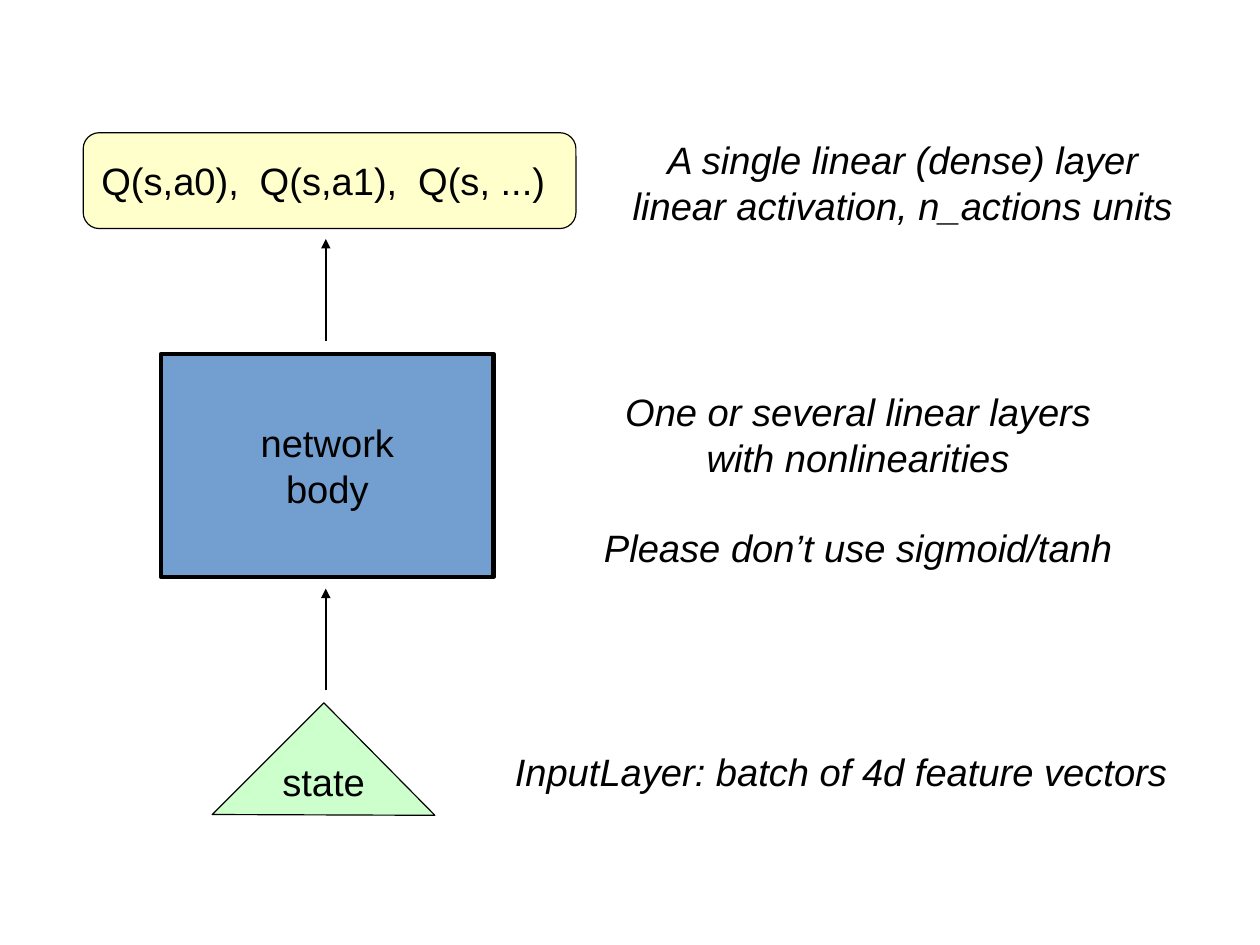
from lxml import etree
from pptx import Presentation
from pptx.dml.color import RGBColor
from pptx.enum.shapes import MSO_CONNECTOR, MSO_SHAPE
from pptx.enum.text import MSO_ANCHOR, PP_ALIGN
from pptx.oxml.ns import qn
from pptx.util import Cm, Pt

ROUNDED, RECTANGLE, TRIANGLE = (
    MSO_SHAPE.ROUNDED_RECTANGLE, MSO_SHAPE.RECTANGLE, MSO_SHAPE.ISOSCELES_TRIANGLE)
STRAIGHT = MSO_CONNECTOR.STRAIGHT
TOP, MIDDLE = MSO_ANCHOR.TOP, MSO_ANCHOR.MIDDLE
LEFT, CENTER = PP_ALIGN.LEFT, PP_ALIGN.CENTER

COLORS = {"ink": "000000", "q_values": "FFFFCC", "body": "729FCF", "state": "CCFFCC"}
ARROW_LENGTH = 2.26
Q_VALUE_STEP = 3.52


def color(name):
    return RGBColor.from_string(COLORS[name])


def write(frame, lines, insets, anchor=MIDDLE, align=CENTER, italic=False, tabs=()):
    frame.word_wrap = True
    frame.vertical_anchor = anchor
    (frame.margin_left, frame.margin_top,
     frame.margin_right, frame.margin_bottom) = [Cm(inset) for inset in insets]
    for index, line in enumerate(lines):
        paragraph = frame.paragraphs[0] if index == 0 else frame.add_paragraph()
        paragraph.text = line
        paragraph.alignment = align
        if tabs:
            stops = etree.SubElement(paragraph._p.get_or_add_pPr(), qn("a:tabLst"))
            for position in tabs:
                etree.SubElement(stops, qn("a:tab"), pos=str(Cm(position)), algn="l")
        paragraph.font.name = "Arial"
        paragraph.font.size = Pt(24)
        paragraph.font.italic = italic
        paragraph.font.color.rgb = color("ink")


def add_stage(slide, kind, box, fill, border):
    stage = slide.shapes.add_shape(kind, *[Cm(length) for length in box])
    stage.shadow.inherit = False
    stage.fill.solid()
    stage.fill.fore_color.rgb = color(fill)
    stage.line.color.rgb = color("ink")
    stage.line.width = Pt(border)
    return stage


def add_flow(slide, x, bottom):
    flow = slide.shapes.add_connector(
        STRAIGHT, Cm(x), Cm(bottom), Cm(x), Cm(bottom - ARROW_LENGTH))
    flow.line.color.rgb = color("ink")
    flow.line.width = Pt(1.45)
    etree.SubElement(flow.line._get_or_add_ln(), qn("a:tailEnd"), type="triangle")
    etree.SubElement(flow._element.spPr, qn("a:effectLst"))


def add_network(slide, left, top):
    q_values = add_stage(slide, ROUNDED, (left, top, 10.95, 2.13), "q_values", 0)
    write(q_values.text_frame, ["Q(s,a0),\tQ(s,a1),\tQ(s, ...)"], (0.3, 0, 0, 0),
          align=LEFT, tabs=(Q_VALUE_STEP, 2 * Q_VALUE_STEP))

    body = add_stage(slide, RECTANGLE, (left + 1.73, top + 4.92, 7.39, 4.95), "body", 2.89)
    write(body.text_frame, ["network", "body"], (0.3, 0.18, 0.3, 0.18))

    state = add_stage(slide, TRIANGLE, (left + 2.87, top + 12.67, 4.95, 2.49), "state", 0)
    state.rotation = 0.2
    write(state.text_frame, ["state"], (0, 0, 0, 0.25))

    for bottom in (top + 12.39, top + 4.62):
        add_flow(slide, left + 5.39, bottom)


def add_note(slide, box, lines):
    note = slide.shapes.add_textbox(*[Cm(length) for length in box]).text_frame
    write(note, lines, (0.25, 0.13, 0.25, 0.13), anchor=TOP, italic=True)
    return note


def add_notes(slide, left, top):
    add_note(slide, (left + 1.98, top, 14.22, 2.13),
             ["A single linear (dense) layer", "linear activation, n_actions units"])
    body_note = add_note(
        slide, (left + 0.99, top + 5.61, 14.22, 4.04),
        ["One or several linear layers", "with nonlinearities", "Please don’t use sigmoid/tanh"])
    body_note.paragraphs[-1].space_before = Pt(28)
    add_note(slide, (left, top + 13.61, 15.44, 2.13),
             ["InputLayer: batch of 4d feature vectors"])


def main():
    deck = Presentation()
    deck.slide_width, deck.slide_height = Cm(28), Cm(21)
    slide = deck.slides.add_slide(deck.slide_layouts[6])
    add_network(slide, 1.85, 2.95)
    add_notes(slide, 10.97, 2.9)
    deck.save("out.pptx")


if __name__ == "__main__":
    main()
